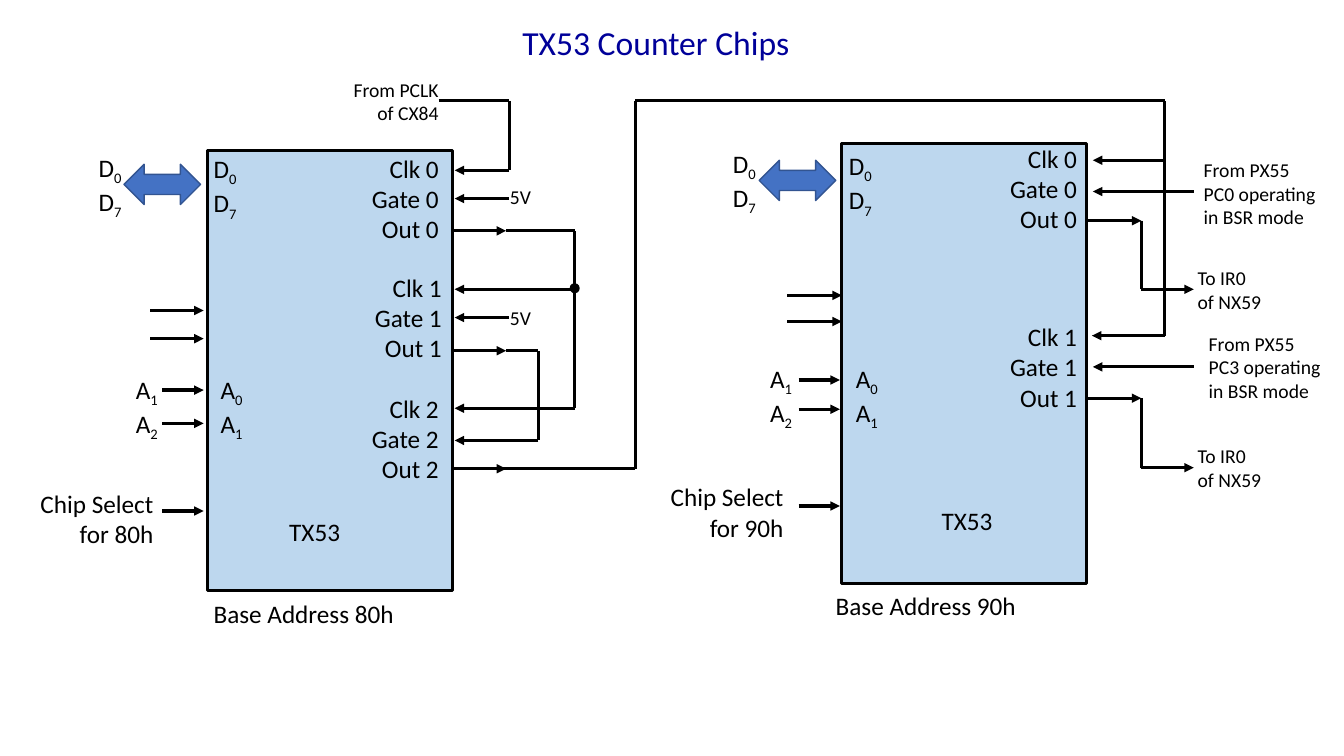
from itertools import pairwise

from lxml import etree
from pptx import Presentation
from pptx.dml.color import RGBColor
from pptx.enum.shapes import MSO_CONNECTOR, MSO_SHAPE
from pptx.enum.text import MSO_ANCHOR, MSO_AUTO_SIZE, PP_ALIGN
from pptx.oxml.ns import qn
from pptx.util import Inches, Pt

BLACK = RGBColor(0x00, 0x00, 0x00)
TITLE_BLUE = RGBColor(0x00, 0x00, 0x99)
CHIP_BLUE = RGBColor(0xBD, 0xD7, 0xEE)
BUS_BLUE = RGBColor(0x44, 0x72, 0xC4)
BUS_EDGE = RGBColor(0x32, 0x54, 0x91)
FONT = "Calibri"

presentation = Presentation()
presentation.slide_width = Inches(13.33)
presentation.slide_height = Inches(7.5)
slide = presentation.slides.add_slide(presentation.slide_layouts[5])
shapes = slide.shapes


def add_label(left, top, width, height, text, size=18, align=PP_ALIGN.LEFT):
    """Add a text box; in each line, what follows an underscore is a subscript."""
    box = shapes.add_textbox(Inches(left), Inches(top), Inches(width), Inches(height))
    frame = box.text_frame
    frame.word_wrap = True
    frame.auto_size = MSO_AUTO_SIZE.SHAPE_TO_FIT_TEXT
    frame.text = text.replace("_", "")
    for paragraph, line in zip(frame.paragraphs, text.split("\n")):
        paragraph.alignment = align
        base, _, subscript = line.partition("_")
        paragraph.runs[0].text = base
        if subscript:
            run = paragraph.add_run()
            run.text = subscript
            run._r.get_or_add_rPr().set("baseline", "-25000")
        for run in paragraph.runs:
            run.font.name = FONT
            run.font.size = Pt(size)
            run.font.color.rgb = BLACK


def add_wire(*points, arrow=True):
    """Draw straight segments through the points, with an arrowhead at the end."""
    for start, end in pairwise(points):
        ends = [Inches(value) for value in start + end]
        connector = shapes.add_connector(MSO_CONNECTOR.STRAIGHT, *ends)
        connector.line.color.rgb = BLACK
        connector.line.width = Pt(2.25)
        properties = connector._element.spPr
        if arrow and end == points[-1]:
            line = properties.find(qn("a:ln"))
            etree.SubElement(line, qn("a:tailEnd"), type="triangle")
        etree.SubElement(properties, qn("a:effectLst"))


# Title
title = shapes.title
title.left, title.top = Inches(5.08), Inches(0.17)
title.width, title.height = Inches(2.86), Inches(0.5)
title.text_frame.text = "TX53 Counter Chips"
title.text_frame.auto_size = MSO_AUTO_SIZE.NONE
title.text_frame.vertical_anchor = MSO_ANCHOR.TOP
title_paragraph = title.text_frame.paragraphs[0]
title_paragraph.alignment = PP_ALIGN.LEFT
title_font = title_paragraph.runs[0].font
title_font.name = FONT
title_font.size = Pt(24)
title_font.color.rgb = TITLE_BLUE

# Chip bodies and data bus arrows
for kind, left, top, width, height, fill, edge, weight in (
    (MSO_SHAPE.RECTANGLE, 2.06, 1.49, 2.43, 4.37, CHIP_BLUE, BLACK, 2.25),
    (MSO_SHAPE.RECTANGLE, 8.35, 1.42, 2.43, 4.37, CHIP_BLUE, BLACK, 2.25),
    (MSO_SHAPE.LEFT_RIGHT_ARROW, 1.23, 1.63, 0.76, 0.4, BUS_BLUE, BUS_EDGE, 1),
    (MSO_SHAPE.LEFT_RIGHT_ARROW, 7.53, 1.59, 0.76, 0.4, BUS_BLUE, BUS_EDGE, 1),
):
    shape = shapes.add_shape(kind, Inches(left), Inches(top), Inches(width), Inches(height))
    shape.shadow.inherit = False
    shape.fill.solid()
    shape.fill.fore_color.rgb = fill
    shape.line.color.rgb = edge
    shape.line.width = Pt(weight)

# Names, base addresses and chip selects
for address, name_at, base_at, select_at in (
    ("80h", (2.77, 5.07), (2.02, 5.89), (0.06, 4.79)),
    ("90h", (9.24, 4.96), (8.19, 5.81), (6.31, 4.73)),
):
    add_label(*name_at, 0.8, 0.4, "TX53")
    add_label(*base_at, 2.49, 0.4, f"Base Address {address}")
    add_label(*select_at, 1.56, 0.71, f"Chip Select for {address}", align=PP_ALIGN.RIGHT)

# Counter pins
for left, top, counter in (
    (3.57, 1.47, 0), (3.6, 2.65, 1), (3.57, 3.85, 2), (9.9, 1.37, 0), (9.9, 3.14, 1),
):
    pins = f"Clk {counter}\nGate {counter}\nOut {counter}"
    add_label(left, top, 0.88, 1.01, pins, align=PP_ALIGN.RIGHT)

# Data and address pins
for left, top in ((0.88, 1.46), (2.02, 1.47), (7.17, 1.42), (8.32, 1.44)):
    add_label(left, top, 0.57, 0.71, "D_0\nD_7")
for outer_left, inner_left, top in ((1.25, 2.09, 3.66), (7.54, 8.39, 3.55)):
    add_label(outer_left, top, 0.44, 0.71, "A_1\nA_2")
    add_label(inner_left, top, 0.44, 0.71, "A_0\nA_1")

# Signal sources and destinations
add_label(3.35, 0.72, 1.1, 0.57, "From PCLK of CX84", 14, PP_ALIGN.RIGHT)
for top in (1.79, 2.99):
    add_label(4.96, top, 0.44, 0.34, "5V", 14)
for left, top, port in ((11.84, 1.52, "PC0"), (11.89, 3.24, "PC3")):
    add_label(left, top, 1.37, 0.81, f"From PX55 {port} operating in BSR mode", 14)
for top in (2.59, 4.36):
    add_label(11.78, top, 0.88, 0.57, "To IR0 of NX59", 14)

# Inputs on the left side of each chip
for start, end, heights in (
    (1.49, 2.02, (3.08, 3.36)),
    (1.61, 2.02, (3.87, 4.2, 5.07)),
    (7.81, 8.35, (2.93, 3.19)),
    (7.92, 8.33, (3.77, 4.06, 5.02)),
):
    for y in heights:
        add_wire((start, y), (end, y))

# First chip: clock, gates, and outputs feeding the next counters
add_wire((4.35, 1), (5.05, 1), (5.05, 1.69), (4.51, 1.69))
for y in (1.97, 3.15):
    add_wire((5.05, y), (4.51, y))
for y in (2.29, 3.48, 4.65):
    add_wire((4.48, y), (5.02, y))
add_wire((5.02, 2.29), (5.7, 2.29), (5.7, 4.05), (4.51, 4.05))
add_wire((5.7, 2.87), (4.51, 2.87))
add_wire((5.02, 3.48), (5.34, 3.48), (5.34, 4.37), (4.51, 4.37))

# Out 2 drives both clocks of the second chip
add_wire((4.99, 4.65), (6.3, 4.65), (6.3, 1), (11.55, 1), (11.55, 3.33), (10.83, 3.33))
add_wire((11.55, 1.59), (10.84, 1.59))

# Second chip: gates and interrupt outputs
for y in (1.9, 3.64):
    add_wire((11.84, y), (10.84, y))
for out_y, interrupt_y in ((2.19, 2.87), (3.95, 4.64)):
    add_wire((10.78, out_y), (11.32, out_y))
    add_wire((11.32, out_y), (11.32, interrupt_y), (11.84, interrupt_y))

junction = shapes.add_shape(
    MSO_SHAPE.FLOWCHART_CONNECTOR, Inches(5.65), Inches(2.81), Inches(0.1), Inches(0.1)
)
junction.shadow.inherit = False
junction.fill.solid()
junction.fill.fore_color.rgb = BLACK
junction.line.fill.background()

presentation.save("out.pptx")
